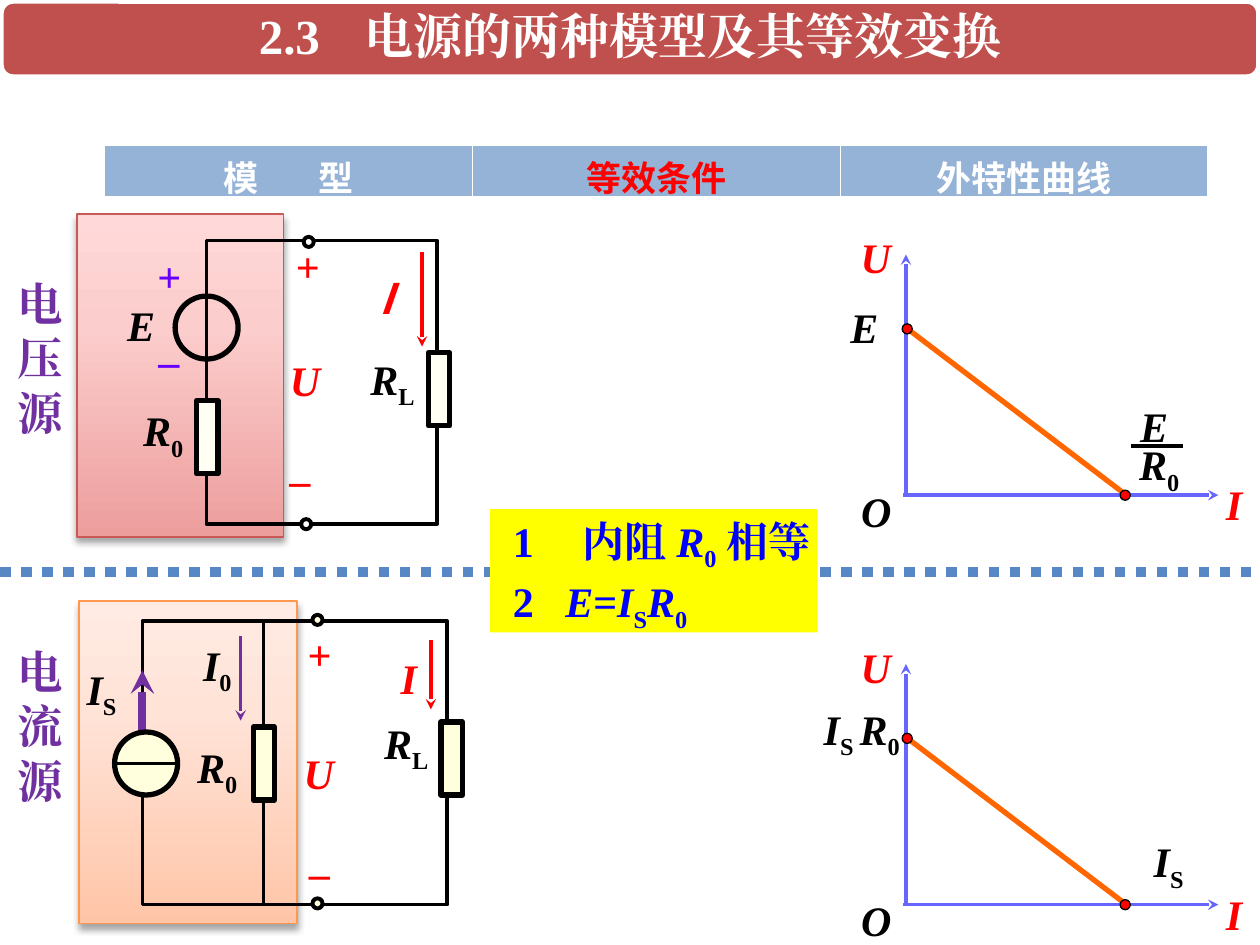
from dataclasses import dataclass
from typing import Any

from lxml.etree import SubElement
from pptx import Presentation
from pptx.dml.color import RGBColor
from pptx.enum.dml import MSO_LINE
from pptx.enum.shapes import MSO_CONNECTOR, MSO_SHAPE
from pptx.enum.text import MSO_ANCHOR, PP_ALIGN
from pptx.oxml.ns import qn
from pptx.util import Pt

PX = 9144
RECT, OVAL, ROUNDED = MSO_SHAPE.RECTANGLE, MSO_SHAPE.OVAL, MSO_SHAPE.ROUNDED_RECTANGLE
STRAIGHT, DOTTED = MSO_CONNECTOR.STRAIGHT, MSO_LINE.ROUND_DOT
CENTER, LEFT = PP_ALIGN.CENTER, PP_ALIGN.LEFT
TOP, MIDDLE = MSO_ANCHOR.TOP, MSO_ANCHOR.MIDDLE
SERIF, SANS = "Times New Roman", "Noto Sans CJK SC"
BLACK, WHITE, RED, BLUE = "000000", "FFFFFF", "FF0000", "0000FF"
PURPLE, VIOLET, AXIS, ORANGE = "7030A0", "6600FF", "6666FF", "FF6600"
IVORY, CREAM, YELLOW = "FFFFF3", "FFFFDD", "FFFF00"
R_ZERO = [("R", "i"), ("0", "s")]
R_LOAD = [("R", "i"), ("L", "s")]
I_ZERO = [("I", "i"), ("0", "s")]
I_SOURCE = [("I", "i"), ("S", "s")]


def color(value):
    """Turn a hex string into a colour."""
    return RGBColor.from_string(value)


def write(para, spans, size, tint, font=SERIF):
    """Add (text, style[, gap]) spans; i is italic, s is subscript, gap is tracking in points."""
    for text, style, *gap in spans:
        span = para.add_run()
        span.text = text
        span.font.size, span.font.bold, span.font.name = Pt(size), True, font
        span.font.italic = "i" in style
        span.font.color.rgb = color(tint)
        props = span._r.get_or_add_rPr()
        SubElement(props, qn("a:ea"), typeface=font)
        if "s" in style:
            props.set("baseline", "-25000")
        if gap:
            props.set("spc", str(gap[0] * 100))


@dataclass
class Area:
    """A region of the page whose parts are placed from its top left corner."""

    page: Any
    left: int
    top: int

    def shape(self, kind, x, y, width, height, fill=None, line=None, weight=2):
        """Add a preset shape."""
        shape = self.page.shapes.add_shape(
            kind, (self.left + x) * PX, (self.top + y) * PX, width * PX, height * PX)
        shape.shadow.inherit = False
        if fill:
            shape.fill.solid()
            shape.fill.fore_color.rgb = color(fill)
        else:
            shape.fill.background()
        if line:
            shape.line.color.rgb = color(line)
            shape.line.width = Pt(weight)
        else:
            shape.line.fill.background()
        return shape

    def panel(self, x, width, height, stops, line):
        """Add a shadowed panel with an upward gradient."""
        shape = self.shape(RECT, x, 0, width, height, WHITE, line, 1)
        props = shape._element.spPr
        solid = props.find(qn("a:solidFill"))
        gradient = SubElement(props, qn("a:gradFill"), rotWithShape="1")
        props.replace(solid, gradient)
        stop_list = SubElement(gradient, qn("a:gsLst"))
        for place, tint in zip((0, 65, 100), stops):
            stop = SubElement(stop_list, qn("a:gs"), pos=str(place * 1000))
            SubElement(stop, qn("a:srgbClr"), val=tint)
        SubElement(gradient, qn("a:lin"), ang="16200000", scaled="0")
        shadow = SubElement(props.find(qn("a:effectLst")), qn("a:outerShdw"),
                            blurRad=str(Pt(4)), dist=str(Pt(3)), dir="5400000", rotWithShape="0")
        tint = SubElement(shadow, qn("a:srgbClr"), val=BLACK)
        SubElement(tint, qn("a:alpha"), val="35000")

    def line(self, x1, y1, x2, y2, tint=BLACK, weight=2, arrow=False):
        """Add a straight line, with an optional arrowhead at its end."""
        ends = (self.left + x1, self.top + y1, self.left + x2, self.top + y2)
        line = self.page.shapes.add_connector(STRAIGHT, *(end * PX for end in ends))
        line.line.color.rgb = color(tint)
        line.line.width = Pt(weight)
        props = line._element.spPr
        if arrow:
            SubElement(props.find(qn("a:ln")), qn("a:tailEnd"), type="stealth")
        SubElement(props, qn("a:effectLst"))
        return line

    def label(self, x, y, width, spans, tint=BLACK, font=SERIF):
        """Add a centred label on one line."""
        box = self.page.shapes.add_textbox(
            (self.left + x) * PX, (self.top + y) * PX, width * PX, 50 * PX)
        frame = box.text_frame
        frame.word_wrap, frame.vertical_anchor = False, MIDDLE
        frame.paragraphs[0].alignment = CENTER
        write(frame.paragraphs[0], spans, 24, tint, font)

    def name(self, y, width, text):
        """Add the name of a source, one character to a line."""
        box = self.page.shapes.add_textbox(
            self.left * PX, (self.top + y) * PX, width * PX, 141 * PX)
        box.text_frame.word_wrap = True
        write(box.text_frame.paragraphs[0], [(text, "")], 26, PURPLE)

    def resistor(self, x, y, fill):
        """Add an upright resistor."""
        self.shape(RECT, x, y, 17, 58, fill, BLACK, 3)

    def terminal(self, x, y, fill):
        """Add an open terminal."""
        self.shape(OVAL, x, y, 8, 8, fill, BLACK, 2.25)


def voltage_source(area):
    """Draw the voltage source model with its load."""
    area.panel(57, 164, 256, ("EC9E9D", "FBCDCC", "FFD9D9"), "C95956")
    area.name(44, 61, "电压源")
    area.line(331, 30, 331, 105, RED, 2, True)
    area.shape(OVAL, 135, 65, 50, 50, None, BLACK, 3)
    area.shape(RECT, 160, 21, 183, 225, None, BLACK)
    area.resistor(152, 148, IVORY)
    area.resistor(336, 110, IVORY)
    area.terminal(237, 18, WHITE)
    area.terminal(235, 242, WHITE)
    area.label(287, 41, 31, [("I", "i")], RED, SANS)
    area.label(87, 63, 42, [("E", "i")])
    area.label(216, 106, 44, [("U", "i")], RED)
    area.label(99, 149, 53, R_ZERO)
    area.label(279, 108, 57, R_LOAD)
    for x, y, sign, tint in ((221, 16, "+", RED), (215, 174, "_", RED),
                             (111, 24, "+", VIOLET), (111, 79, "_", VIOLET)):
        area.label(x, y, 38, [(sign, "")], tint)


def current_source(area):
    """Draw the current source model with its load."""
    area.panel(59, 173, 256, ("FFC5A8", "FFE3D7", "FFEBE3"), "FF984E")
    area.name(29, 55, "电流源")
    area.shape(RECT, 109, 16, 242, 225, None, BLACK)
    area.line(205, 17, 205, 242)
    area.line(109, 104, 109, 55, PURPLE, 4.5, True)
    area.line(187, 28, 187, 95, PURPLE, 2, True)
    area.line(338, 31, 338, 86, RED, 2, True)
    area.shape(OVAL, 87, 104, 50, 50, CREAM, BLACK, 3)
    area.line(87, 129, 137, 129)
    area.resistor(346, 96, CREAM)
    area.resistor(197, 100, CREAM)
    for y in (11, 236):
        area.terminal(244, y, CREAM)
    area.label(142, 109, 53, R_ZERO)
    area.label(304, 36, 33, [("I", "i")], RED)
    area.label(227, 111, 44, [("U", "i")], RED)
    area.label(290, 90, 57, R_LOAD)
    area.label(230, 17, 39, [("+", "")], RED)
    area.label(231, 190, 37, [("–", "")], RED)
    area.label(54, 47, 45, I_SOURCE)
    area.label(146, 28, 45, I_ZERO)


def characteristic(area):
    """Draw a falling load line on voltage and current axes."""
    area.line(77, 81, 252, 214, ORANGE, 3)
    area.line(77, 214, 77, 23, AXIS, 2, True)
    area.line(75, 214, 325, 214, AXIS, 2, True)
    area.label(31, 201, 45, [("O", "i")])
    area.label(321, 196, 33, [("I", "i")], RED)
    area.label(31, 0, 44, [("U", "i")], RED)
    for x, y in ((74, 78), (247, 210)):
        area.shape(OVAL, x, y, 8, 8, RED, BLACK, 0.75)


def voltage_curve(area):
    """Draw the characteristic of the voltage source."""
    characteristic(area)
    area.label(23, 55, 42, [("E", "i")])
    area.label(253, 134, 42, [("E", "i")])
    area.label(251, 167, 54, R_ZERO)
    area.line(256, 175, 297, 175, BLACK, 2.25)


def current_curve(area):
    """Draw the characteristic of the current source."""
    characteristic(area)
    area.label(0, 52, 84, [("I", "i"), ("S ", "s")] + R_ZERO)
    area.label(263, 157, 45, I_SOURCE)


def header(page, left, top):
    """Add the row of column headings."""
    table = page.shapes.add_table(1, 3, left * PX, top * PX, 876 * PX, 41 * PX).table
    headings = (([("模", "", 30), (" 型", "")], WHITE),
                ([("等效条件", "")], RED), ([("外特性曲线", "")], WHITE))
    for cell, (spans, tint) in zip(table.rows[0].cells, headings):
        cell.fill.solid()
        cell.fill.fore_color.rgb = color("95B3D7")
        cell.margin_bottom = 0
        para = cell.text_frame.paragraphs[0]
        para.alignment = CENTER
        write(para, spans, 20, tint, SANS)


def conditions(area):
    """List the conditions of equivalence."""
    rows = ([("1", ""), (" ", "", 16), ("内阻", "")] + R_ZERO + [("相等", "")],
            [("2", ""), (" ", "", 12), ("E", "i"), ("=", "")] + I_SOURCE + R_ZERO)
    for row, spans in enumerate(rows):
        frame = area.shape(RECT, 0, row * 48, 260, 50, YELLOW).text_frame
        frame.word_wrap, frame.vertical_anchor = True, TOP
        frame.margin_left, frame.margin_right = 18 * PX, 0
        frame.paragraphs[0].alignment = LEFT
        write(frame.paragraphs[0], spans, 24, BLUE)


def title(area):
    """Add the title bar."""
    frame = area.shape(ROUNDED, 0, 0, 1000, 62, "C0504D", WHITE, 4.33).text_frame
    frame.word_wrap, frame.vertical_anchor = True, MIDDLE
    para = frame.paragraphs[0]
    para.alignment, para.line_spacing = CENTER, 0.9
    write(para, [("2.3", ""), (" ", "", 12), ("电源的两种模型及其等效变换", "")], 28, WHITE)


def main():
    """Build the slide and save it."""
    deck = Presentation()
    deck.slide_width, deck.slide_height = 1000 * PX, 750 * PX
    page = deck.slides.add_slide(deck.slide_layouts[6])
    voltage_source(Area(page, 4, 170))
    current_source(Area(page, 4, 477))
    voltage_curve(Area(page, 642, 179))
    current_curve(Area(page, 642, 504))
    divider = Area(page, 0, 454).line(0, 0, 1000, 0, "5887C6", 6)
    divider.line.dash_style = DOTTED
    header(page, 83, 115)
    conditions(Area(page, 389, 404))
    title(Area(page, 0, 0))
    deck.save("out.pptx")


if __name__ == "__main__":
    main()
